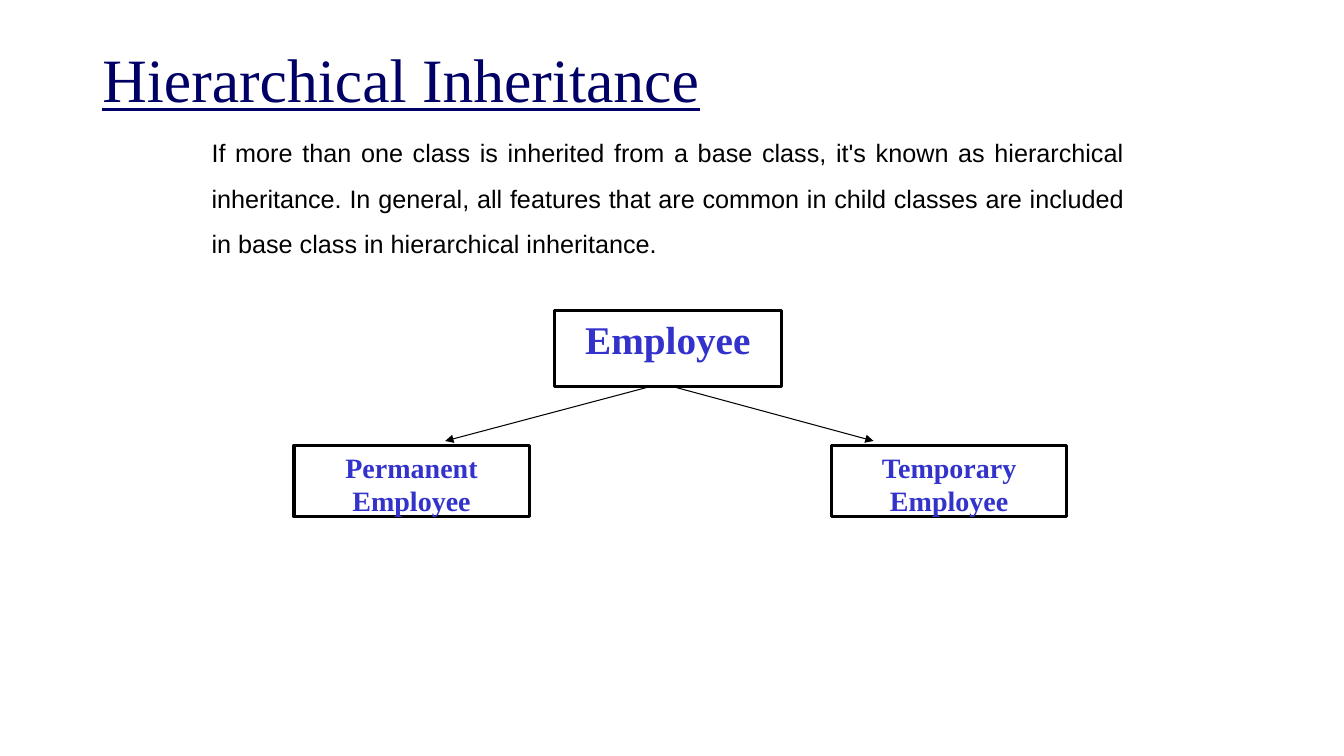
from dataclasses import dataclass

from lxml.etree import SubElement
from pptx import Presentation
from pptx.dml.color import RGBColor
from pptx.enum.shapes import MSO_CONNECTOR as Connector, MSO_SHAPE as Shape
from pptx.enum.text import MSO_ANCHOR as Anchor, MSO_AUTO_SIZE as AutoSize, PP_ALIGN as Align
from pptx.oxml.ns import qn
from pptx.shapes.group import GroupShape
from pptx.slide import Slide
from pptx.text.text import TextFrame
from pptx.util import Emu, Pt


@dataclass(frozen=True)
class Theme:
    title_color: RGBColor = RGBColor(0x00, 0x00, 0x66)
    label_color: RGBColor = RGBColor(0x33, 0x33, 0xCC)
    ink: RGBColor = RGBColor(0x00, 0x00, 0x00)
    paper: RGBColor = RGBColor(0xFF, 0xFF, 0xFF)
    serif: str = "Times New Roman"
    sans: str = "Arial"
    title_size: int = 44
    base_size: int = 28
    child_size: int = 20
    body_size: int = 18
    border: float = 2.25
    arrow: float = 0.75


@dataclass(frozen=True)
class ClassBox:
    name: str
    x: int
    y: int
    w: int
    h: int
    size: int


@dataclass(frozen=True)
class Arrow:
    x1: int
    y1: int
    x2: int
    y2: int


THEME = Theme()
DEFINITION = (
    "If more than one class is inherited from a base class, it's known as hierarchical "
    "inheritance. In general, all features that are common in child classes are included "
    "in base class in hierarchical inheritance."
)
BASE = ClassBox("Employee", 528, 296, 216, 72, THEME.base_size)
CHILDREN = [
    ClassBox(f"{kind} Employee", x, 424, 224, 68, THEME.child_size)
    for kind, x in (("Permanent", 280), ("Temporary", 792))
]
ARROWS = [Arrow(620, 368, 424, 420), Arrow(640, 368, 832, 420)]


def px(n: int) -> Emu:
    return Emu(n * 9525)


def write(tf: TextFrame, text: str, font: str, size: int, color: RGBColor,
          align: Align, spacing: float = 1.0, bold: bool = False,
          underline: bool = False) -> None:
    tf.word_wrap = True
    tf.vertical_anchor = Anchor.TOP
    tf.text = text
    p = tf.paragraphs[0]
    p.alignment = align
    p.line_spacing = spacing
    f = p.runs[0].font
    f.name, f.size, f.bold, f.underline = font, Pt(size), bold, underline
    f.color.rgb = color


def add_title(s: Slide) -> None:
    sp = s.shapes.title
    sp.left, sp.top, sp.width, sp.height = px(88), px(38), px(1104), px(139)
    tf = sp.text_frame
    tf.auto_size = AutoSize.NONE
    tf.margin_top = px(9)
    write(tf, "Hierarchical Inheritance", THEME.serif, THEME.title_size,
          THEME.title_color, Align.LEFT, spacing=0.9, underline=True)


def add_definition(s: Slide) -> None:
    sp = s.shapes.add_textbox(px(192), px(112), px(888), px(140))
    write(sp.text_frame, DEFINITION, THEME.sans, THEME.body_size,
          THEME.ink, Align.JUSTIFY, spacing=1.5)


def add_class_box(group: GroupShape, box: ClassBox) -> None:
    sp = group.shapes.add_shape(Shape.RECTANGLE, px(box.x), px(box.y), px(box.w), px(box.h))
    sp.shadow.inherit = False
    sp.fill.solid()
    sp.fill.fore_color.rgb = THEME.paper
    sp.line.color.rgb = THEME.ink
    sp.line.width = Pt(THEME.border)
    write(sp.text_frame, box.name, THEME.serif, box.size,
          THEME.label_color, Align.CENTER, bold=True)


def add_arrow(group: GroupShape, arrow: Arrow) -> None:
    cx = group.shapes.add_connector(Connector.STRAIGHT, px(arrow.x1), px(arrow.y1),
                                    px(arrow.x2), px(arrow.y2))
    cx.line.color.rgb = THEME.ink
    cx.line.width = Pt(THEME.arrow)
    SubElement(cx.line._get_or_add_ln(), qn("a:tailEnd"), type="triangle")
    SubElement(cx._element.spPr, qn("a:effectLst"))


def main() -> None:
    prs = Presentation()
    prs.slide_width, prs.slide_height = px(1280), px(720)
    s = prs.slides.add_slide(prs.slide_layouts[5])
    add_title(s)
    group = s.shapes.add_group_shape()
    add_class_box(group, BASE)
    for arrow in ARROWS:
        add_arrow(group, arrow)
    for child in CHILDREN:
        add_class_box(group, child)
    add_definition(s)
    prs.save("out.pptx")


if __name__ == "__main__":
    main()
